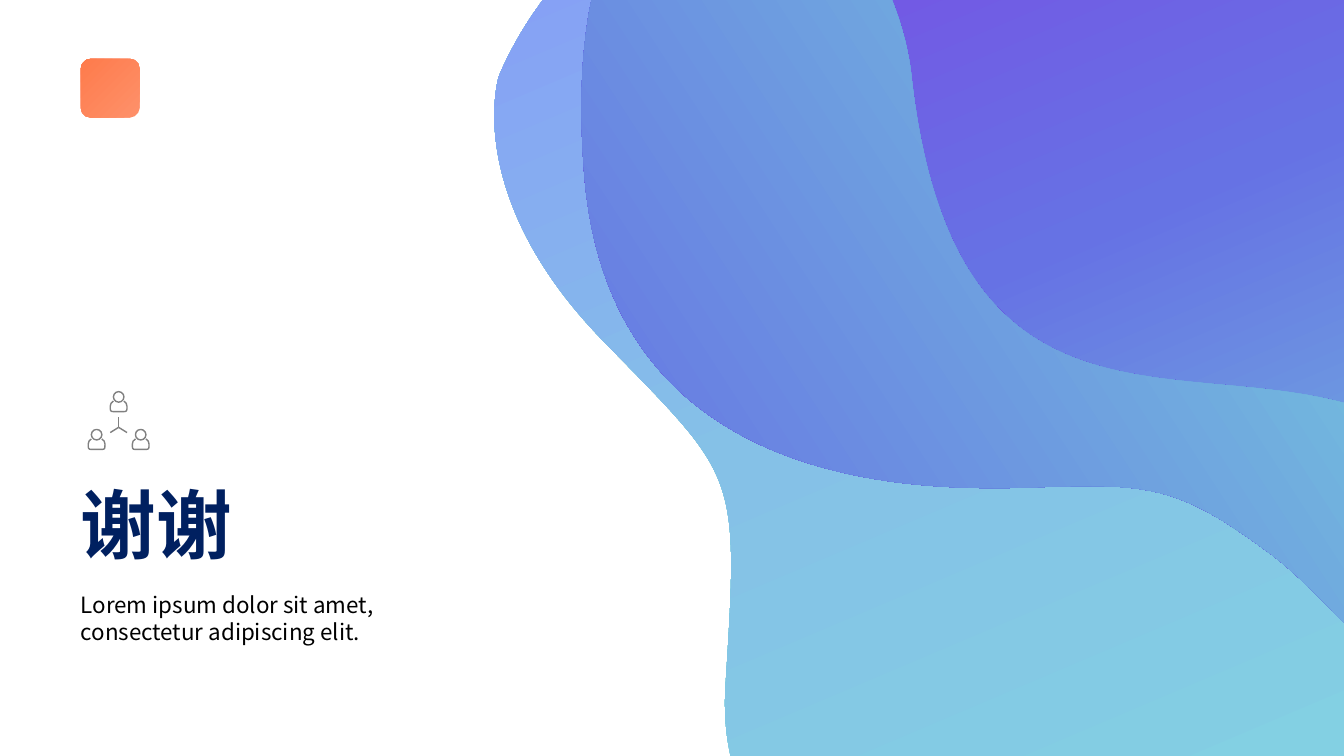
"""Builds a closing thank-you slide with flowing gradient waves."""
from copy import deepcopy
from math import cos, radians, sin

from lxml.etree import SubElement
from pptx import Presentation
from pptx.dml.color import RGBColor
from pptx.enum.shapes import MSO_CONNECTOR, MSO_SHAPE
from pptx.oxml.ns import qn
from pptx.util import Pt

PX = 9525
FONT = "Noto Sans CJK SC"
BLACK = RGBColor(0x00, 0x00, 0x00)
NAVY = RGBColor(0x00, 0x20, 0x60)
GRAY = RGBColor(0x80, 0x80, 0x80)
PEACH = RGBColor(0xFE, 0x91, 0x6A)
ORANGE = RGBColor(0xFE, 0x7B, 0x4C)
AQUA = RGBColor(0x80, 0xDE, 0xDE)
SKY = RGBColor(0x85, 0xC1, 0xE7)
PERIWINKLE = RGBColor(0x87, 0x8C, 0xFF)
MINT = RGBColor(0x7C, 0xEF, 0xD8)
INDIGO = RGBColor(0x66, 0x72, 0xE4)
VIOLET = RGBColor(0x88, 0x2B, 0xE5)

WAVE_TILT = 157
SHARED_EDGE = [(556, 160), (577, 472), (881, 468), (990, 464),
               (1098, 460), (1125, 464), (1212, 529)]
BACK_WAVE = [
    (883, 102), (932, 534), (1238, 302), (1408, 476),
    (1579, 649), (1518, 779), (1467, 806), (1416, 834), (1372, 831), (1320, 756),
    (1267, 679), (1107, 764), (996, 822), (887, 879), (678, 857), (691, 652),
    (704, 445), (703, 457), (571, 321), (440, 184), (475, 73), (475, 73),
    (475, 73), (545, -110), (708, -94), (871, -78), (883, 102), (883, 102)]
CORNER_WAVE = [
    (703, -179), (703, -179), (534, -153), *SHARED_EDGE,
    (1298, 595), (1356, 725), (1467, 601), (1577, 476), (1369, 344), (1340, 289),
    (1311, 234), (1365, 95), (1316, 41), (1268, -12), (1235, -77), (1007, -58),
    (1007, -58), (896, -21), (810, -140), (810, -140), (756, -205), (703, -179)]
BAND_WAVE = [
    (556, 160), (545, 18), (575, -64), (610, -113),
    (635, -122), (661, -125), (692, -123), (854, -107), (868, 73), (868, 73),
    (917, 505), (1223, 274), (1393, 447), (1439, 493), (1468, 538), (1485, 576),
    (1480, 585), (1475, 592), (1468, 600), (1356, 725), (1298, 595),
    *reversed(SHARED_EDGE)]
SHOULDERS = [(-5, 4), (-7, 5), (-8, 7), (-8, 9), (-8, 13), (-8, 14), (-5, 14),
             (-2, 14), (2, 14), (5, 14), (8, 14), (8, 13), (8, 9),
             (8, 7), (7, 5), (5, 4)]


def curve_points(controls, steps=32):
    """Return points along a chain of cubic curves."""
    points = [controls[0]]
    for i in range(0, len(controls) - 1, 3):
        a, b, c, d = controls[i:i + 4]
        for n in range(1, steps + 1):
            t = n / steps
            u = 1 - t
            points.append(tuple(
                u**3 * a[k] + 3 * u * u * t * b[k] + 3 * u * t * t * c[k] + t**3 * d[k]
                for k in (0, 1)))
    return points


def to_emu(points):
    """Scale px points to whole EMU."""
    return [(round(x * PX), round(y * PX)) for x, y in points]


def add_curve(slide, controls, close):
    """Add a tightly bounded freeform made of cubic curves."""
    start, *rest = to_emu(curve_points(controls))
    builder = slide.shapes.build_freeform(*start)
    builder.add_line_segments(rest, close=close)
    s = builder.convert_to_shape()
    s.shadow.inherit = False
    path_xml = next(s._element.iter(qn("a:path")))
    for line in path_xml.findall(qn("a:lnTo")):
        path_xml.remove(line)
    for i, (x, y) in enumerate(to_emu(controls)[1:]):
        if i % 3 == 0:
            curve = path_xml.makeelement(qn("a:cubicBezTo"), {})
            path_xml.insert(1 + i // 3, curve)
        SubElement(curve, qn("a:pt"), x=str(x - s.left), y=str(y - s.top))
    return s


def fill_gradient(s, stops, angle):
    """Fill a shape with a linear gradient at a clockwise angle."""
    s.line.fill.background()
    s.fill.gradient()
    s.fill.gradient_angle = 360 - angle
    gs_list = s._element.spPr.find(qn("a:gradFill")).find(qn("a:gsLst"))
    while len(gs_list) < len(stops):
        gs_list.append(deepcopy(gs_list[0]))
    for stop, (position, color) in zip(s.fill.gradient_stops, stops):
        stop.position = position
        stop.color.rgb = color


def turn(x, y, degrees):
    """Turn a point clockwise about the slide's top left corner."""
    co, si = cos(radians(degrees)), sin(radians(degrees))
    return x * co - y * si, x * si + y * co


def add_wave(slide, controls, stops, angle):
    """Add a tilted wave whose gradient turns with it."""
    s = add_curve(slide, [turn(x, y, -WAVE_TILT) for x, y in controls], True)
    cx, cy = turn(s.left + s.width / 2, s.top + s.height / 2, WAVE_TILT)
    s.left, s.top = round(cx - s.width / 2), round(cy - s.height / 2)
    s.rotation = WAVE_TILT
    fill_gradient(s, stops, angle)


def add_badge(slide, x, y, size):
    """Add the rounded orange square."""
    s = slide.shapes.add_shape(MSO_SHAPE.ROUNDED_RECTANGLE,
                               x * PX, y * PX, size * PX, size * PX)
    s.shadow.inherit = False
    fill_gradient(s, [(0, PEACH), (1, ORANGE)], 225)


def style_stroke(s):
    """Give an icon part its thin gray line."""
    s.line.color.rgb = GRAY
    s.line.width = Pt(1)


def add_person(slide, cx, cy):
    """Add a person icon centred on its head."""
    head = slide.shapes.add_shape(MSO_SHAPE.OVAL, (cx - 5) * PX, (cy - 5) * PX,
                                  10 * PX, 10 * PX)
    head.shadow.inherit = False
    body = add_curve(slide, [(cx + x, cy + y) for x, y in SHOULDERS], False)
    for s in (head, body):
        s.fill.background()
        style_stroke(s)


def add_spoke(slide, start, end):
    """Add a line between two points."""
    s = slide.shapes.add_connector(MSO_CONNECTOR.STRAIGHT,
                                   *(v * PX for v in start + end))
    style_stroke(s)
    SubElement(s._element.spPr, qn("a:effectLst"))


def add_text(slide, text, box, size, color, bold=False):
    """Add a text box without margins."""
    tf = slide.shapes.add_textbox(*(v * PX for v in box)).text_frame
    tf.word_wrap = True
    tf.margin_left = tf.margin_top = tf.margin_right = tf.margin_bottom = 0
    p = tf.paragraphs[0]
    p.text = text
    p.font.name = FONT
    p.font.size = Pt(size)
    p.font.bold = bold
    p.font.color.rgb = color
    SubElement(p.runs[0].font._element, qn("a:ea"), typeface=FONT)


def main():
    """Build and save the slide."""
    prs = Presentation()
    prs.slide_width, prs.slide_height = 1280 * PX, 720 * PX
    slide = prs.slides.add_slide(prs.slide_layouts[6])
    add_badge(slide, 77, 56, 56)
    for cx, cy in [(113, 378), (92, 414), (134, 414)]:
        add_person(slide, cx, cy)
    for end in [(113, 397), (105, 412), (121, 412)]:
        add_spoke(slide, (113, 407), end)
    add_text(slide, "谢谢", (77, 455, 509, 87), 54, NAVY, True)
    add_text(slide, "Lorem ipsum dolor sit amet, consectetur adipiscing elit.",
             (77, 563, 372, 52), 16, BLACK)
    add_wave(slide, BACK_WAVE, [(0, AQUA), (0.54, SKY), (1, PERIWINKLE)], 90)
    add_wave(slide, CORNER_WAVE, [(0, MINT), (0.51, INDIGO), (1, VIOLET)], 90)
    add_wave(slide, BAND_WAVE, [(0, VIOLET), (0.19, INDIGO), (1, MINT)], 170)
    prs.save("out.pptx")


if __name__ == "__main__":
    main()
